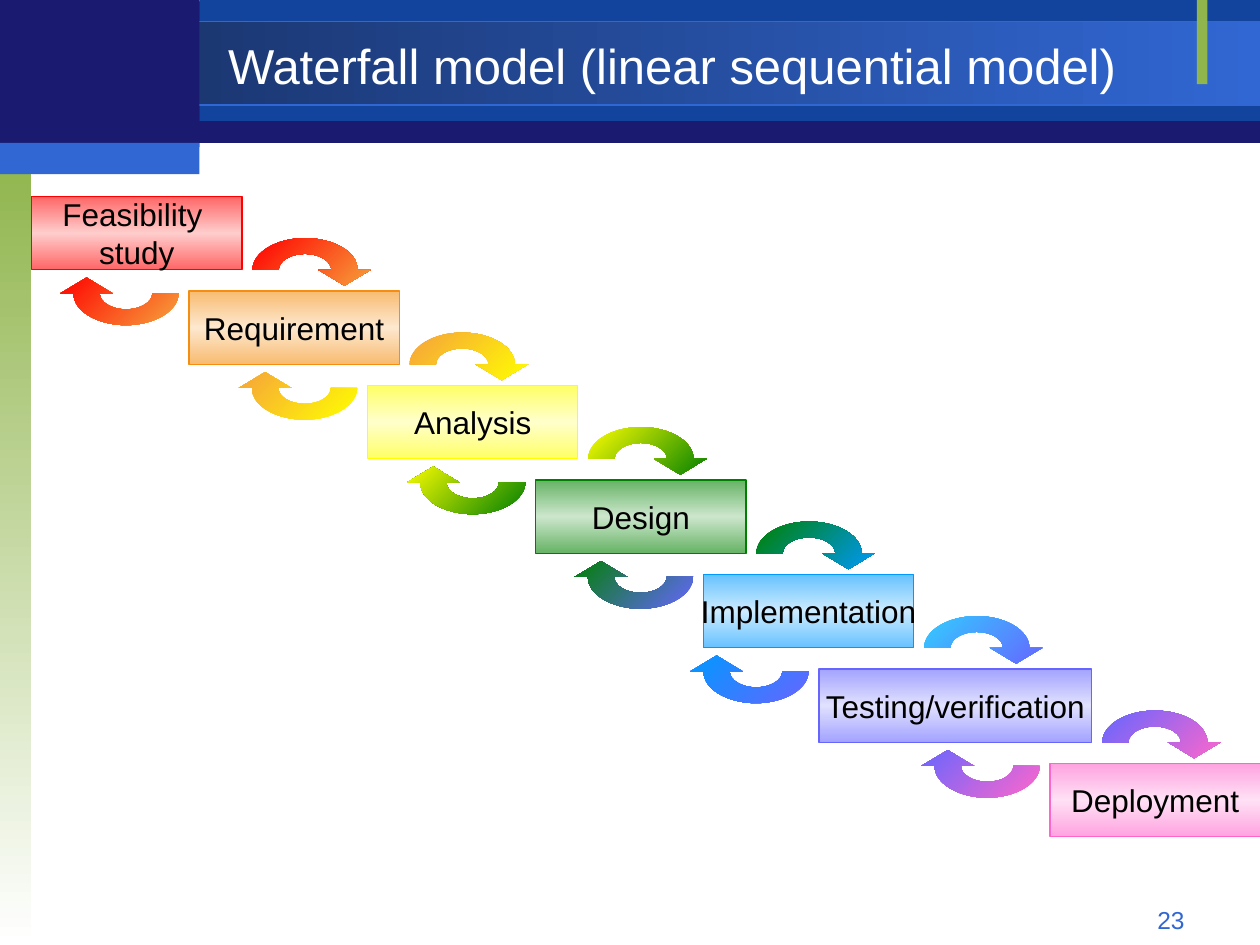
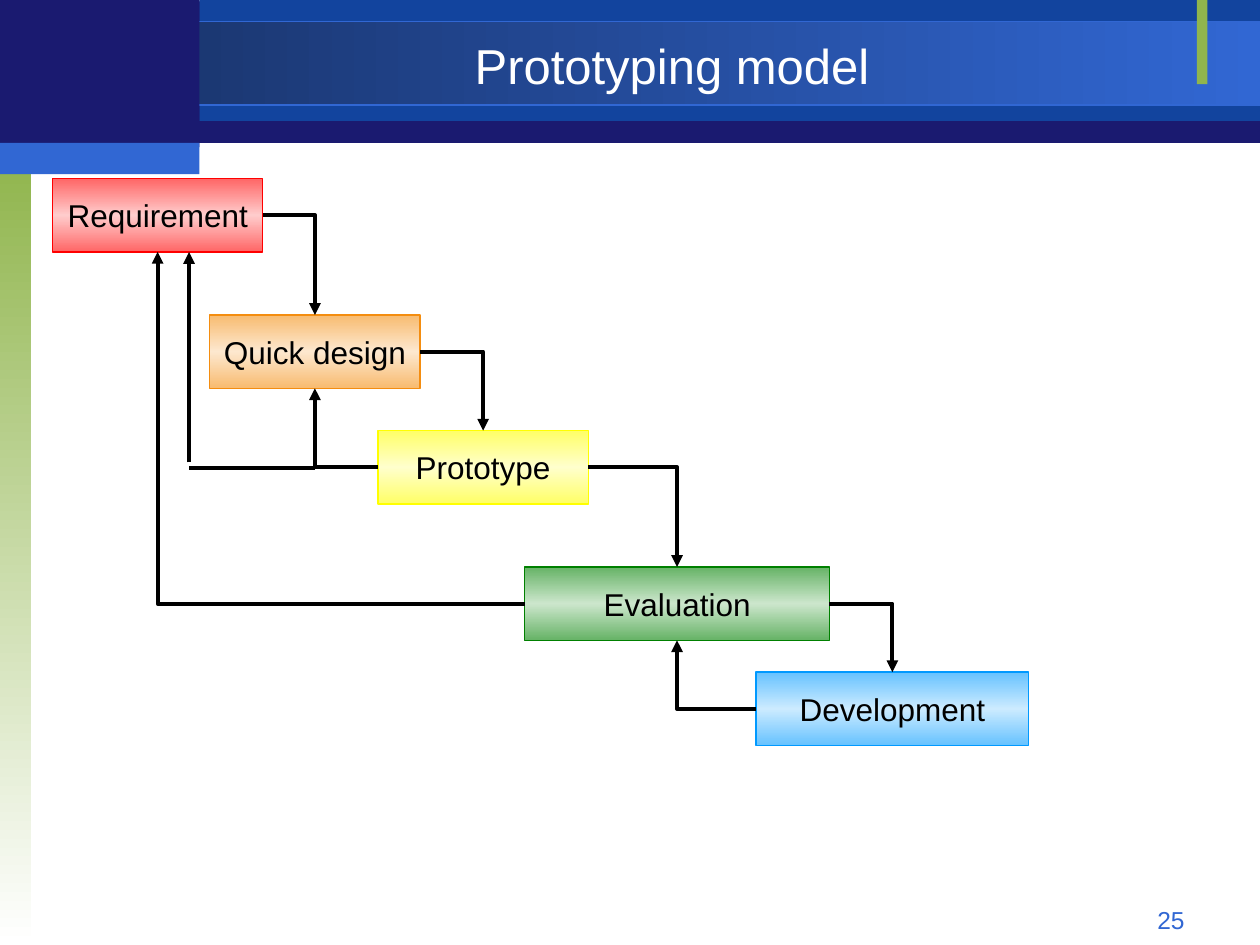
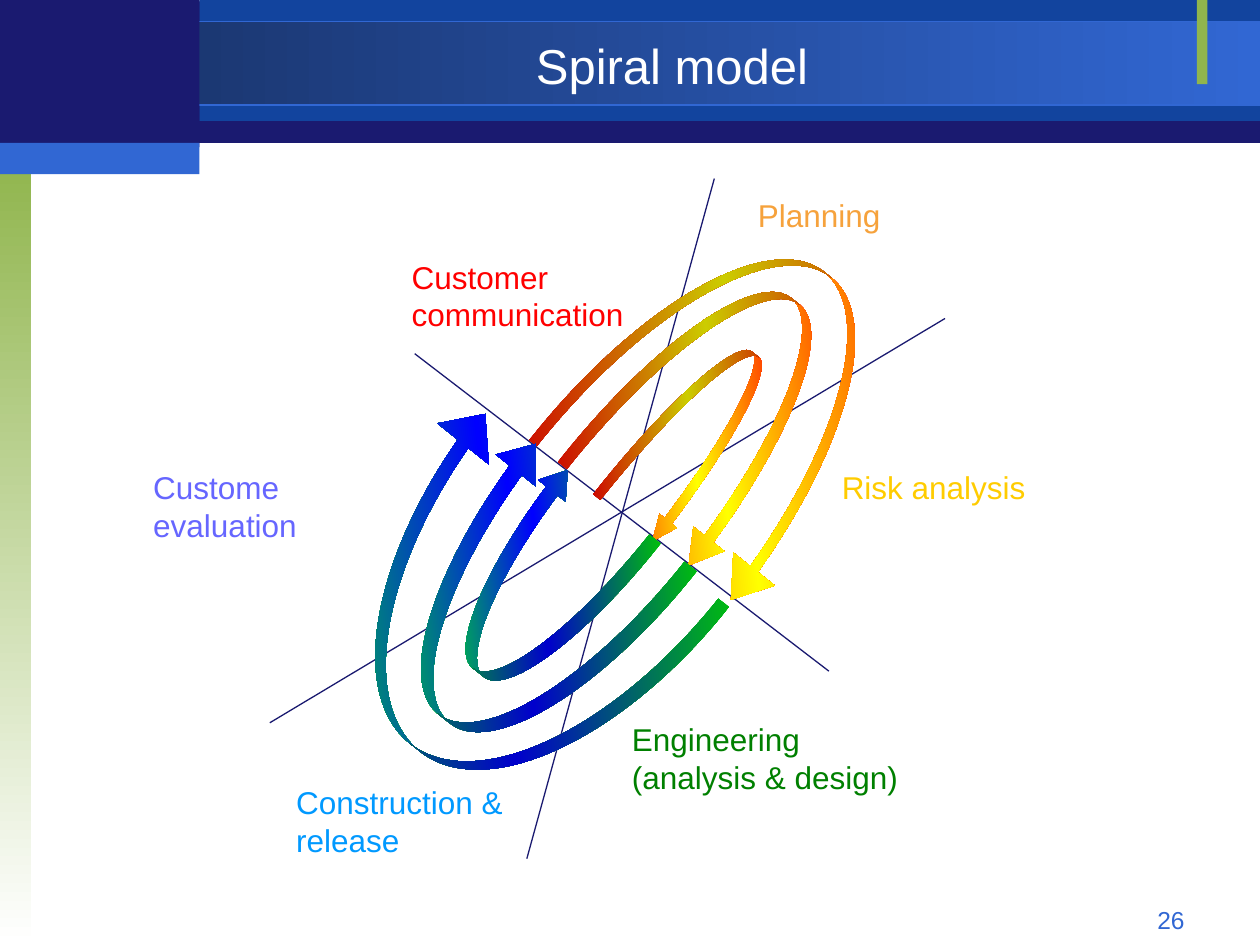
from lxml import etree
from pptx import Presentation
from pptx.dml.color import RGBColor
from pptx.enum import shapes, text
from pptx.oxml import ns
from pptx.util import Cm, Pt

FONT = "Arial"
NAVY, ROYAL, BLUE, GREEN_BAR = "1A1A70", "12449E", "3167D3", "90B54D"
BLACK, WHITE = "000000", "FFFFFF"
RED, ORANGE, AMBER, YELLOW = "FF0000", "F48D10", "F6A23C", "FFFF00"
GREEN, SKY, VIOLET, PINK = "008000", "0099FF", "6666FF", "FF66CC"
STEP_WIDTH, STEP_HEIGHT = 4.24, 1.48


def rgb(colour):
    return RGBColor.from_string(colour)


def tint(colour, strength):
    """Mix a colour with white; strength 1 keeps it pure."""
    parts = [int(colour[i:i + 2], 16) for i in (0, 2, 4)]
    return "".join(f"{round(255 - (255 - part) * strength):02X}" for part in parts)


def paint(shape, colours, angle=0, line=None):
    """Fill with one colour, or with evenly spaced gradient stops."""
    shape.shadow.inherit = False
    if len(colours) == 1:
        shape.fill.solid()
        shape.fill.fore_color.rgb = rgb(colours[0])
    else:
        shape.fill.gradient()
        shape.fill.gradient_angle = -angle % 360
        stops = shape.element.spPr.find(".//" + ns.qn("a:gsLst"))
        for stop in list(stops):
            stops.remove(stop)
        for i, colour in enumerate(colours):
            position = str(100000 * i // (len(colours) - 1))
            stop = etree.SubElement(stops, ns.qn("a:gs"), pos=position)
            etree.SubElement(stop, ns.qn("a:srgbClr"), val=colour)
    if line:
        shape.line.color.rgb = rgb(line)
        shape.line.width = Pt(0.75)
    else:
        shape.line.fill.background()


def write(frame, words, size, colour, align=text.PP_ALIGN.LEFT):
    frame.text = words
    for para in frame.paragraphs:
        para.alignment = align
        for span in para.runs:
            span.font.name = FONT
            span.font.size = Pt(size)
            span.font.color.rgb = rgb(colour)


def add_box(page, left, top, width, height, kind=shapes.MSO_SHAPE.RECTANGLE):
    return page.shapes.add_shape(kind, Cm(left), Cm(top), Cm(width), Cm(height))


def add_step(page, words, colour, left, top, width=STEP_WIDTH):
    box = add_box(page, left, top, width, STEP_HEIGHT)
    edge = tint(colour, 0.6)
    paint(box, [edge, tint(colour, 0.2), edge], 90, colour)
    frame = box.text_frame
    frame.word_wrap = False
    frame.vertical_anchor = text.MSO_ANCHOR.MIDDLE
    write(frame, words, 18, BLACK, text.PP_ALIGN.CENTER)
    return box


def style_line(line, colour, weight, arrow=False):
    line.line.color.rgb = rgb(colour)
    line.line.width = Pt(weight)
    props = line.element.spPr
    if arrow:
        etree.SubElement(props.find(ns.qn("a:ln")), ns.qn("a:tailEnd"), type="triangle")
    etree.SubElement(props, ns.qn("a:effectLst"))


def add_line(page, x1, y1, x2, y2, colour, weight, arrow=False):
    line = page.shapes.add_connector(
        shapes.MSO_CONNECTOR.STRAIGHT, Cm(x1), Cm(y1), Cm(x2), Cm(y2))
    style_line(line, colour, weight, arrow)


def join(page, start, start_side, end, end_side):
    """Draw an arrow with one right-angled bend between two boxes."""
    elbow = page.shapes.add_connector(shapes.MSO_CONNECTOR.ELBOW, 0, 0, 0, 0)
    elbow.begin_connect(start, start_side)
    elbow.end_connect(end, end_side)
    elbow.element.spPr.find(ns.qn("a:prstGeom")).set("prst", "bentConnector2")
    style_line(elbow, BLACK, 2.25, arrow=True)


def curve(outline, first):
    """Turn three straight segments of an outline into one Bezier segment."""
    segments = [outline[first + i] for i in range(3)]
    bezier = etree.Element(ns.qn("a:cubicBezTo"))
    segments[0].addprevious(bezier)
    for segment in segments:
        bezier.append(segment[0])
        outline.remove(segment)


def add_turn_arrow(page, x, y, colours, turn=0):
    """Half-ring arrow whose full ellipse is centred on x, y."""
    across, down, bend = 0.265, 0.32, 0.55
    points = [
        (2, 0), (2, -bend), (2 * bend, -1), (0, -1), (-2 * bend, -1), (-2, -bend), (-2, 0),
        (-4, 0), (-4, -2 * bend), (-4 * bend, -2), (0, -2), (4 * bend, -2), (4, -2 * bend),
        (4, 0), (5, 0), (3, 1), (1, 0),
    ]
    points = [(Cm(x + across * h), Cm(y + down * v)) for h, v in points]
    builder = page.shapes.build_freeform(*points[0])
    builder.add_line_segments(points[1:], close=True)
    arrow = builder.convert_to_shape()
    outline = arrow.element.spPr.find(".//" + ns.qn("a:path"))
    for first in (10 + 1, 7 + 1, 3 + 1, 0 + 1):
        curve(outline, first)
    arrow.width, arrow.height = Cm(8 * across), Cm(4 * down)
    outline.set("w", str(arrow.width))
    outline.set("h", str(arrow.height))
    arrow.rotation = turn
    paint(arrow, colours, 45)


def add_bands(page, layout):
    """Put the header and side bands on the layout, behind its placeholders."""
    bands = [
        (0, 0.03, 25.4, 2.85, [NAVY], None),
        (4.02, 0, 21.38, 2.44, [ROYAL], None),
        (0, 0.43, 25.4, 1.69, ["172F61", BLUE], BLUE),
        (0, 3.18, 0.63, 15.87, [GREEN_BAR, WHITE], None),
        (24.13, 0, 0.21, 1.7, [GREEN_BAR], None),
        (0, 0, 4.02, 2.97, [NAVY], None),
        (0, 2.88, 4.02, 0.63, [BLUE], None),
    ]
    for i, (left, top, width, height, colours, line) in enumerate(bands):
        band = add_box(page, left, top, width, height)
        paint(band, colours, 90 if height > width else 0, line)
        band.element.nvSpPr.cNvPr.set("id", str(100 + i))
        layout.shapes.element.insert(2 + i, band.element)


def add_page(deck, heading, number):
    layout = deck.slide_layouts[5]
    page = deck.slides.add_slide(layout)
    if len(deck.slides) == 1:
        add_bands(page, layout)
    title = page.shapes.title
    title.left, title.top, title.width, title.height = Cm(4.02), Cm(0.56), Cm(19.05), Cm(1.48)
    title.text_frame.vertical_anchor = text.MSO_ANCHOR.MIDDLE
    title.text_frame.auto_size = text.MSO_AUTO_SIZE.NONE
    write(title.text_frame, heading, 28, WHITE, text.PP_ALIGN.CENTER)
    footer = page.shapes.add_textbox(Cm(18.2), Cm(18.12), Cm(5.93), Cm(0.69))
    footer.text_frame.word_wrap = True
    write(footer.text_frame, str(number), 14, BLUE, text.PP_ALIGN.RIGHT)
    return page


def waterfall(page, left, top):
    steps = [
        ("Feasibility \nstudy", RED, 0, STEP_WIDTH),
        ("Requirement", ORANGE, 3.17, STEP_WIDTH),
        ("Analysis", YELLOW, 6.77, STEP_WIDTH),
        ("Design", GREEN, 10.16, STEP_WIDTH),
        ("Implementation", SKY, 13.54, STEP_WIDTH),
        ("Testing/verification", VIOLET, 15.87, 5.5),
        ("Deployment", PINK, 20.53, STEP_WIDTH),
    ]
    forward = [(RED, AMBER), (AMBER, YELLOW), (YELLOW, GREEN),
               (GREEN, SKY), ("33CCFF", VIOLET), (VIOLET, PINK)]
    back = [(AMBER, RED), (YELLOW, AMBER), (GREEN, YELLOW),
            (VIOLET, GREEN), (VIOLET, SKY), (PINK, VIOLET)]
    drop, reach = 19.05 / 10, 1.27
    for i, (words, colour, x, width) in enumerate(steps):
        y = top + i * drop
        add_step(page, words, colour, left + x, y, width)
        if i < len(forward):
            add_turn_arrow(page, left + x + width + reach, y + STEP_HEIGHT, forward[i])
        if i > 0:
            add_turn_arrow(page, left + x - reach, y + 0.05, back[i - 1], 180)


def prototyping(page, left, top):
    steps = [
        ("Requirement", RED, 0, 0, STEP_WIDTH),
        ("Quick design", ORANGE, 3.17, 2.75, STEP_WIDTH),
        ("Prototype", YELLOW, 6.56, 5.08, STEP_WIDTH),
        ("Evaluation", GREEN, 9.52, 7.83, 6.14),
        ("Development", SKY, 14.18, 9.95, 5.5),
    ]
    boxes = [add_step(page, words, colour, left + x, top + y, width)
             for words, colour, x, y, width in steps]
    requirement, design, prototype, evaluation, development = boxes
    for start, end in zip(boxes, boxes[1:]):
        join(page, start, 3, end, 0)
    for start, end in [(development, evaluation), (evaluation, requirement),
                       (prototype, design)]:
        join(page, start, 1, end, 2)
    rise = left + 2.75
    add_line(page, left + 5.29, top + 5.83, rise, top + 5.83, BLACK, 2.25)
    add_line(page, rise, top + 5.72, rise, top + STEP_HEIGHT, BLACK, 2.25, arrow=True)


def spiral(page, left, top):
    axes = [(2.6, 10.97, 16.21, 2.82), (11.56, 0, 7.78, 13.71), (5.52, 3.53, 13.87, 9.93)]
    for x1, y1, x2, y2 in axes:
        add_line(page, left + x1, top + y1, left + x2, top + y2, NAVY, 0.75)

    upper = (308.4, [RED, YELLOW, RED])
    lower = (128.4, ["00FF00", "0000FF", "00FF00"])
    loops = [
        (8.87, 1.7, 6.35, 5.72, upper, (3.4, 18.7, 13.6)),
        (4.15, 5.43, 6.15, 6.93, lower, (4.4, 21.6, 12.2)),
        (8.84, 2.84, 5.51, 3.76, upper, (6.1, 21.3, 17.9)),
        (4.93, 6.3, 5.49, 4.65, lower, (6.7, 22, 14.4)),
        (9, 4.37, 4.24, 1.75, upper, (10.6, 25.8, 29.7)),
        (5.9, 6.83, 4.32, 2.74, lower, (10.6, 25.8, 19.2)),
    ]
    for x, y, width, height, (turn, colours), percents in loops:
        loop = add_box(page, left + x, top + y, width, height,
                       shapes.MSO_SHAPE.CURVED_LEFT_ARROW)
        for i, percent in enumerate(percents):
            loop.adjustments[i] = percent / 100
        loop.rotation = turn
        paint(loop, colours, 45)

    labels = [
        ("Customer\ncommunication", RED, 5.21, 1.47, 4.83),
        ("Planning", AMBER, 12.19, 0.23, 3),
        ("Risk analysis", "FFCC00", 13.88, 5.71, 4.24),
        ("Engineering\n(analysis & design)", GREEN, 9.65, 10.79, 5.92),
        ("Construction &\nrelease", SKY, 2.88, 12.06, 4.9),
        ("Custome\nevaluation", VIOLET, 0, 5.71, 3.43),
    ]
    for words, colour, x, y, width in labels:
        height = 1.02 + 0.78 * words.count("\n")
        label = page.shapes.add_textbox(Cm(left + x), Cm(top + y), Cm(width), Cm(height))
        label.text_frame.word_wrap = False
        label.text_frame.auto_size = text.MSO_AUTO_SIZE.SHAPE_TO_FIT_TEXT
        write(label.text_frame, words, 18, colour)


def main():
    deck = Presentation()
    deck.slide_width, deck.slide_height = Cm(25.4), Cm(19.05)
    waterfall(add_page(deck, "Waterfall model (linear sequential model)", 23), 0.64, 3.96)
    prototyping(add_page(deck, "Prototyping model", 25), 1.06, 3.6)
    spiral(add_page(deck, "Spiral model", 26), 2.84, 3.6)
    deck.save("out.pptx")


if __name__ == "__main__":
    main()
